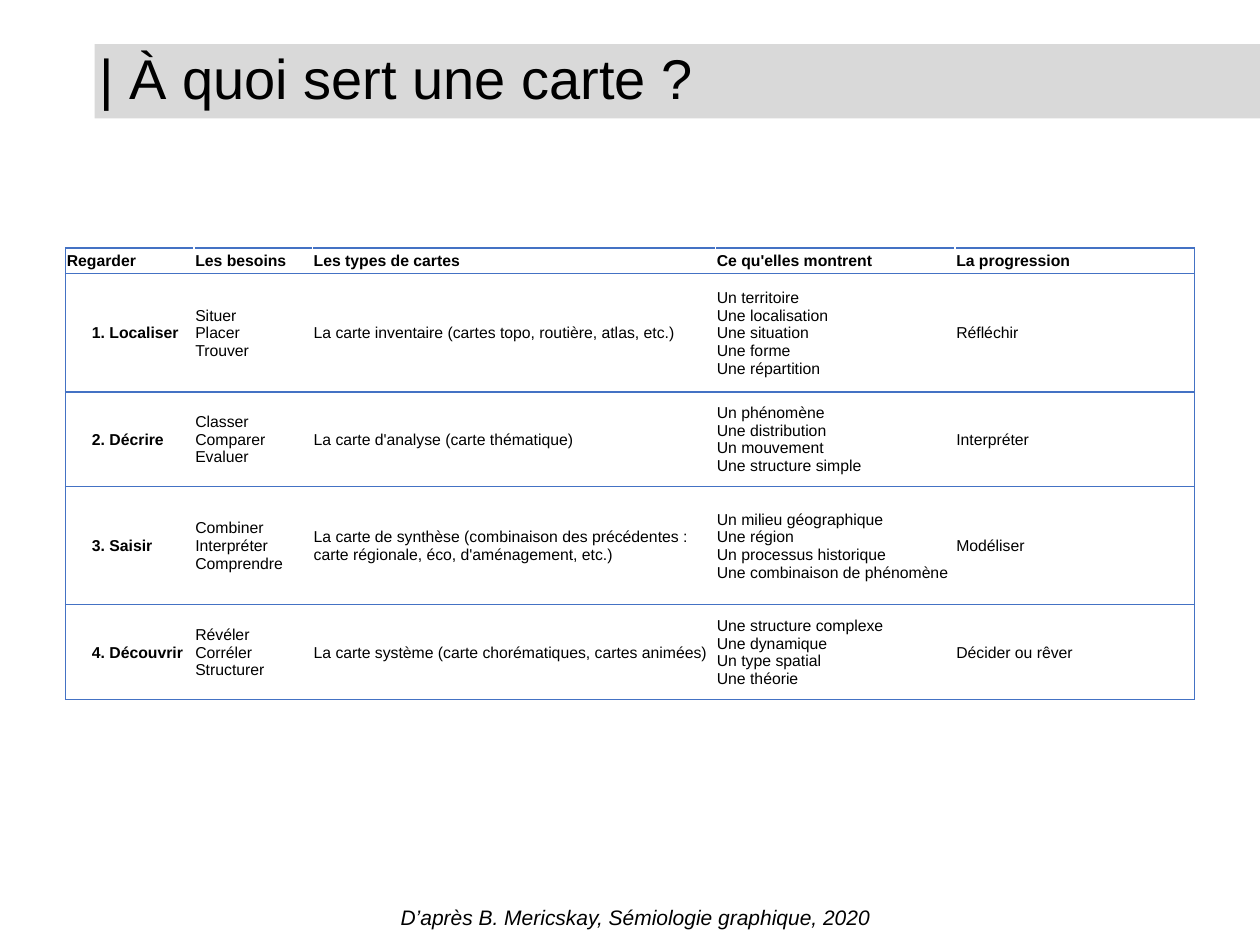
from lxml.etree import SubElement
from pptx import Presentation
from pptx.dml.color import RGBColor
from pptx.enum.shapes import MSO_SHAPE
from pptx.enum.text import MSO_ANCHOR, PP_ALIGN
from pptx.oxml.ns import qn
from pptx.util import Inches, Pt

BLACK = RGBColor(0x00, 0x00, 0x00)
WHITE = RGBColor(0xFF, 0xFF, 0xFF)
GREY = RGBColor(0xD9, 0xD9, 0xD9)
BLUE = RGBColor(0x44, 0x72, 0xC4)

WIDTHS = [1.02, 0.94, 3.2, 1.9, 1.9]
HEIGHTS = [0.2, 0.94, 0.75, 0.94, 0.75]
ROWS = [
    ["Regarder", "Les besoins", "Les types de cartes", "Ce qu'elles montrent", "La progression"],
    ["1. Localiser", "Situer\nPlacer\nTrouver",
     "La carte inventaire (cartes topo, routière, atlas, etc.)",
     "Un territoire\nUne localisation\nUne situation\nUne forme\nUne répartition", "Réfléchir"],
    ["2. Décrire", "Classer\nComparer\nEvaluer",
     "La carte d'analyse (carte thématique)",
     "Un phénomène\nUne distribution\nUn mouvement\nUne structure simple", "Interpréter"],
    ["3. Saisir", "Combiner\nInterpréter\nComprendre",
     "La carte de synthèse (combinaison des précédentes : carte régionale, éco, d'aménagement, etc.)",
     "Un milieu géographique\nUne région\nUn processus historique\nUne combinaison de phénomène",
     "Modéliser"],
    ["4. Découvrir", "Révéler\nCorréler\nStructurer",
     "La carte système (carte chorématiques, cartes animées)",
     "Une structure complexe\nUne dynamique\nUn type spatial\nUne théorie", "Décider ou rêver"],
]


def style(para, size, bold=False, italic=False):
    for run in para.runs:
        font = run.font
        font.name = "Arial"
        font.size = Pt(size)
        font.bold = bold
        font.italic = italic
        font.color.rgb = BLACK
    for gap in para._p.findall(qn("a:br")):
        SubElement(gap, qn("a:rPr"), sz=str(size * 100))


def border(cell, sides):
    props = cell._tc.get_or_add_tcPr()
    for side in sides:
        line = SubElement(props, qn("a:ln" + side), w=str(Pt(1)))
        fill = SubElement(line, qn("a:solidFill"))
        SubElement(fill, qn("a:srgbClr"), val=str(BLUE))


deck = Presentation()
deck.slide_width = Inches(10)
deck.slide_height = Inches(7.5)
slide = deck.slides.add_slide(deck.slide_layouts[6])
shapes = slide.shapes

band = shapes.add_shape(MSO_SHAPE.RECTANGLE, Inches(0.75), Inches(0.35), Inches(9.25), Inches(0.59))
band.shadow.inherit = False
band.fill.solid()
band.fill.fore_color.rgb = GREY
band.line.fill.background()

title = shapes.add_textbox(Inches(0.69), Inches(-0.08), Inches(8.62), Inches(1.45)).text_frame
title.word_wrap = True
title.vertical_anchor = MSO_ANCHOR.MIDDLE
title.text = "| À quoi sert une carte ?"
title.paragraphs[0].line_spacing = 0.9
style(title.paragraphs[0], 32)

table = shapes.add_table(len(ROWS), len(WIDTHS), Inches(0.52), Inches(1.97),
                         Inches(sum(WIDTHS)), Inches(sum(HEIGHTS))).table
table.first_row = False
table.horz_banding = False
for col, width in zip(table.columns, WIDTHS):
    col.width = Inches(width)
for row, height in zip(table.rows, HEIGHTS):
    row.height = Inches(height)

last = len(WIDTHS) - 1
for r, texts in enumerate(ROWS):
    for c, text in enumerate(texts):
        cell = table.cell(r, c)
        cell.margin_left = cell.margin_right = cell.margin_top = Inches(0.01)
        cell.margin_bottom = Inches(0)
        cell.vertical_anchor = MSO_ANCHOR.MIDDLE
        border(cell, {0: "LTB", last: "RTB"}.get(c, "TB"))
        cell.fill.solid()
        cell.fill.fore_color.rgb = WHITE
        para = cell.text_frame.paragraphs[0]
        para.text = text
        if r > 0 and c == 0:
            para.level = 1
            props = para._p.get_or_add_pPr()
            props.set("marL", str(Inches(0.2)))
            props.set("indent", "0")
        style(para, 9, bold=r == 0 or c == 0)

note = shapes.add_textbox(Inches(0.78), Inches(7.13), Inches(8.53), Inches(0.3)).text_frame
note.word_wrap = True
note.text = "D’après B. Mericskay, Sémiologie graphique, 2020"
note.paragraphs[0].alignment = PP_ALIGN.CENTER
style(note.paragraphs[0], 12, italic=True)

deck.save("out.pptx")
